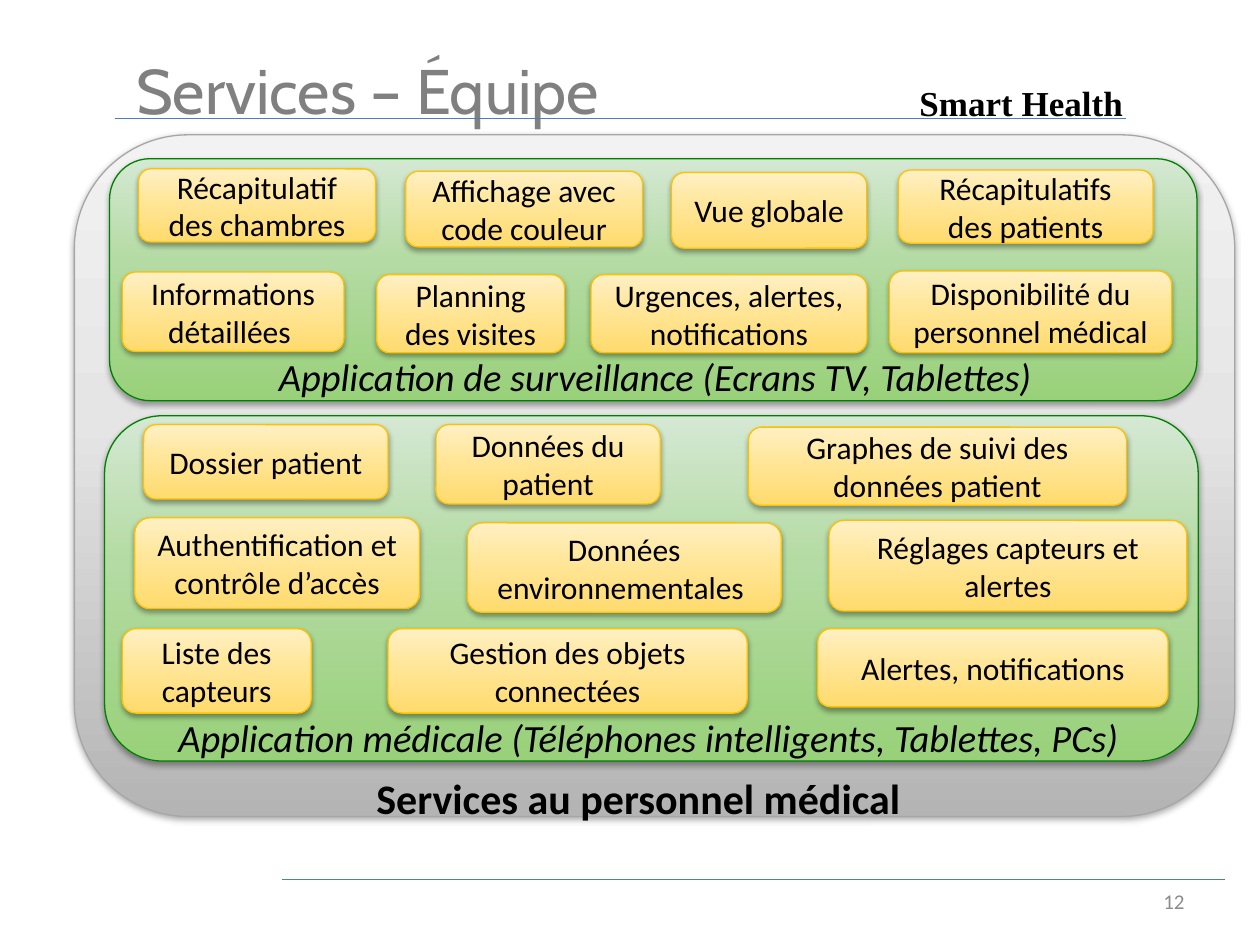
from copy import deepcopy
from lxml.etree import SubElement
from pptx import Presentation
from pptx.dml.color import RGBColor
from pptx.enum.shapes import MSO_CONNECTOR, MSO_SHAPE
from pptx.enum.text import MSO_ANCHOR as Anchor, MSO_AUTO_SIZE as AutoSize, PP_ALIGN as Align
from pptx.oxml.ns import qn
from pptx.util import Inches, Pt

COLORS = {
    "title": "808080", "text": "000000", "number": "8C8C8C", "rule": "4B7EBC",
    "shadow": "000000",
}
STYLES = {
    "services": (("F2F2F2", "E5E5E5", "B4B4B4"), "A6A6A6"),
    "application": (("D4E8D3", "B4DBA3", "99D17A"), "008000"),
    "function": (("FFF0C4", "FFE69A", "FFDB6D"), "FFC000"),
}

presentation = Presentation()
presentation.slide_width = Inches(10)
presentation.slide_height = Inches(7.5)
column = presentation.slide_width / 100
row = presentation.slide_height / 75
slide = presentation.slides.add_slide(presentation.slide_layouts[5])


def write_text(shape, text, size=18, font="Calibri", color="text", bold=False,
               italic=False, align=Align.CENTER, anchor=Anchor.TOP, grow=False):
    frame = shape.text_frame
    frame.word_wrap = True
    frame.auto_size = AutoSize.SHAPE_TO_FIT_TEXT if grow else AutoSize.NONE
    frame.vertical_anchor = anchor
    paragraph = frame.paragraphs[0]
    paragraph.alignment = align
    run = paragraph.add_run()
    run.text = text
    run.font.size = Pt(size)
    run.font.name = font
    run.font.bold = bold
    run.font.italic = italic
    run.font.color.rgb = RGBColor.from_string(COLORS[color])


def add_panel(style, left, top, width, height):
    shape = slide.shapes.add_shape(
        MSO_SHAPE.ROUNDED_RECTANGLE,
        int(left * column), int(top * row), int(width * column), int(height * row))
    stop_colors, line_color = STYLES[style]
    shape.fill.gradient()
    shape.fill.gradient_angle = 270
    properties = shape.element.spPr
    stop_list = properties.find(".//" + qn("a:gsLst"))
    stop_list.insert(1, deepcopy(stop_list[0]))
    for stop, color, position in zip(shape.fill.gradient_stops, stop_colors, (0, 0.42, 1)):
        stop.color.rgb = RGBColor.from_string(color)
        stop.position = position
    shape.line.color.rgb = RGBColor.from_string(line_color)
    shape.line.width = Pt(0.75)
    shape.shadow.inherit = False
    shadow = SubElement(
        properties.find(qn("a:effectLst")), qn("a:outerShdw"),
        blurRad=str(Pt(3.1)), dist=str(Pt(1.8)), dir="5400000", rotWithShape="0")
    shadow_color = SubElement(shadow, qn("a:srgbClr"), val=COLORS["shadow"])
    SubElement(shadow_color, qn("a:alpha"), val="35000")
    return shape


title = slide.shapes.title
title.left, title.top = int(9.8 * column), int(3.6 * row)
title.width, title.height = int(58.3 * column), int(7.1 * row)
write_text(title, "Services – Équipe", size=36, font="Cabin", color="title",
           align=Align.LEFT, grow=True)

for start, end, level in ((22.4, 97.2, 69.8), (9.1, 89.4, 9.4)):
    rule = slide.shapes.add_connector(
        MSO_CONNECTOR.STRAIGHT,
        int(start * column), int(level * row), int(end * column), int(level * row))
    rule.line.color.rgb = RGBColor.from_string(COLORS["rule"])
    rule.line.width = Pt(0.75)
    SubElement(rule.element.spPr, qn("a:effectLst"))

add_panel("services", 5.9, 10.7, 92.1, 54.1)
add_panel("application", 8.7, 12.6, 86.3, 19.2)
add_panel("application", 8.3, 33, 86.8, 27.4)

labels = [
    ("12", 71.7, 69.5, 23.3, 4,
     dict(size=12, color="number", align=Align.RIGHT, anchor=Anchor.MIDDLE)),
    ("Smart Health ", 58.7, 6, 45.4, 4.4,
     dict(size=20, font="Times New Roman", bold=True, grow=True)),
    ("Services au personnel médical ", 9.1, 60.8, 83.9, 5,
     dict(size=24, bold=True, grow=True)),
    ("Application de surveillance (Ecrans TV, Tablettes)", 6.7, 27.5, 90.6, 5.3,
     dict(size=22, italic=True, grow=True)),
    ("Application médicale (Téléphones intelligents, Tablettes, PCs)", 5.9, 56.2, 91.1, 4.6,
     dict(size=22, italic=True, grow=True)),
]
for text, left, top, width, height, text_format in labels:
    label = slide.shapes.add_textbox(
        int(left * column), int(top * row), int(width * column), int(height * row))
    write_text(label, text, **text_format)

functions = [
    ("Récapitulatif des chambres", 11, 13.4, 18.8, 5.8),
    ("Affichage avec code couleur", 32.2, 13.6, 18.8, 6),
    ("Vue globale", 53.3, 13.7, 15.5, 6),
    ("Récapitulatifs des patients", 71.3, 13.5, 20.2, 5.8),
    ("Informations détaillées ", 9.7, 21.6, 17.6, 6.3),
    ("Planning des visites", 29.9, 21.8, 14.9, 6.2),
    ("Urgences, alertes, notifications", 46.9, 21.8, 21.9, 6.2),
    ("Disponibilité du personnel médical", 70.6, 21.5, 22.4, 6.5),
    ("Dossier patient", 11.4, 33.7, 19.4, 5.9),
    ("Données du patient", 34.6, 33.7, 17.8, 6.3),
    ("Graphes de suivi des données patient", 59.4, 33.9, 30, 6.2),
    ("Authentification et contrôle d’accès", 10.7, 41.1, 22.6, 7.2),
    ("Données environnementales ", 37.1, 41.5, 24.9, 7.1),
    ("Réglages capteurs et alertes", 65.8, 41.3, 28.4, 7.2),
    ("Liste des capteurs", 9.7, 49.9, 15, 6.7),
    ("Gestion des objets connectées", 30.8, 49.9, 28.5, 6.7),
    ("Alertes, notifications", 64.9, 49.9, 27.8, 6.2),
]
for text, left, top, width, height in functions:
    write_text(add_panel("function", left, top, width, height), text, anchor=Anchor.MIDDLE)

presentation.save("out.pptx")
